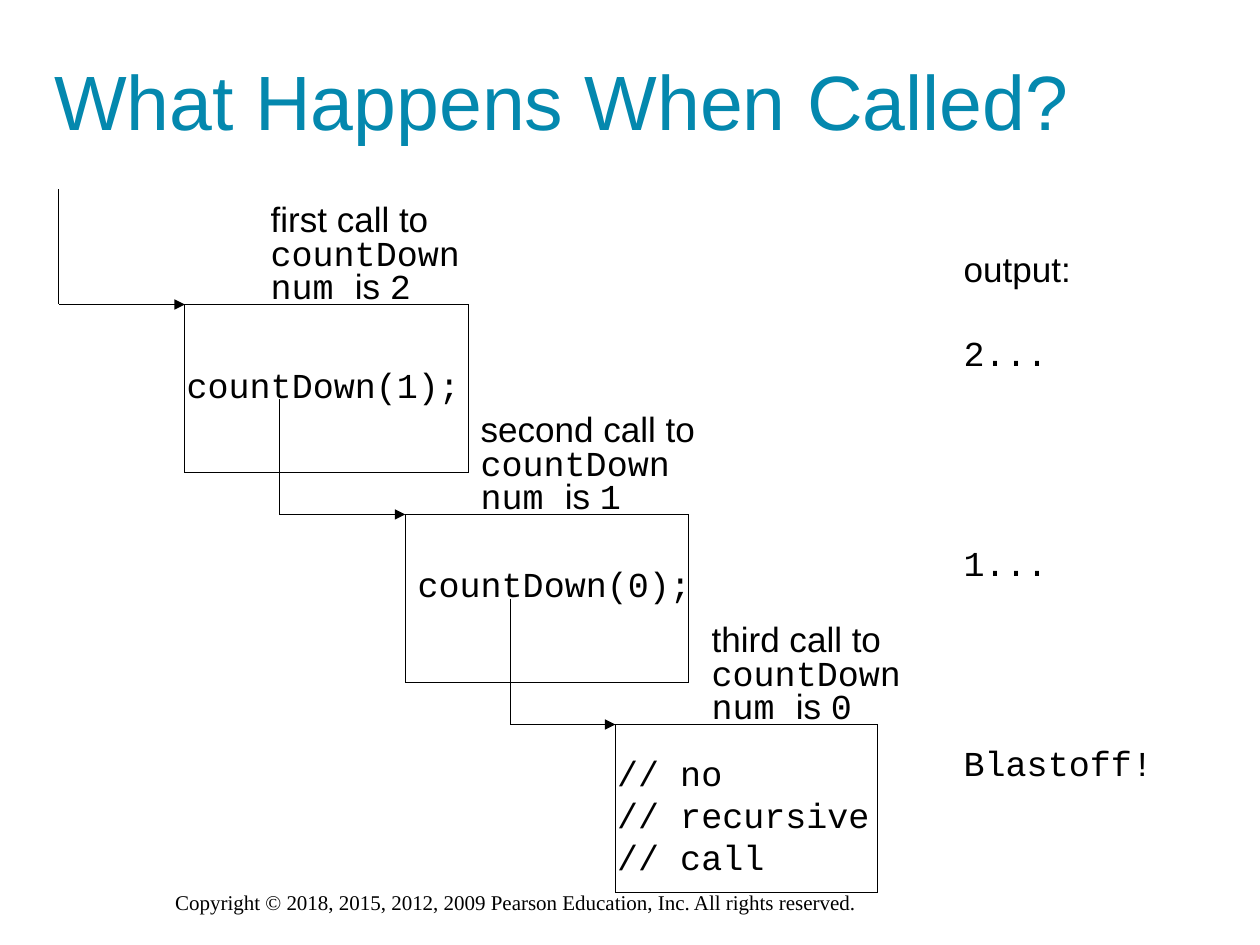
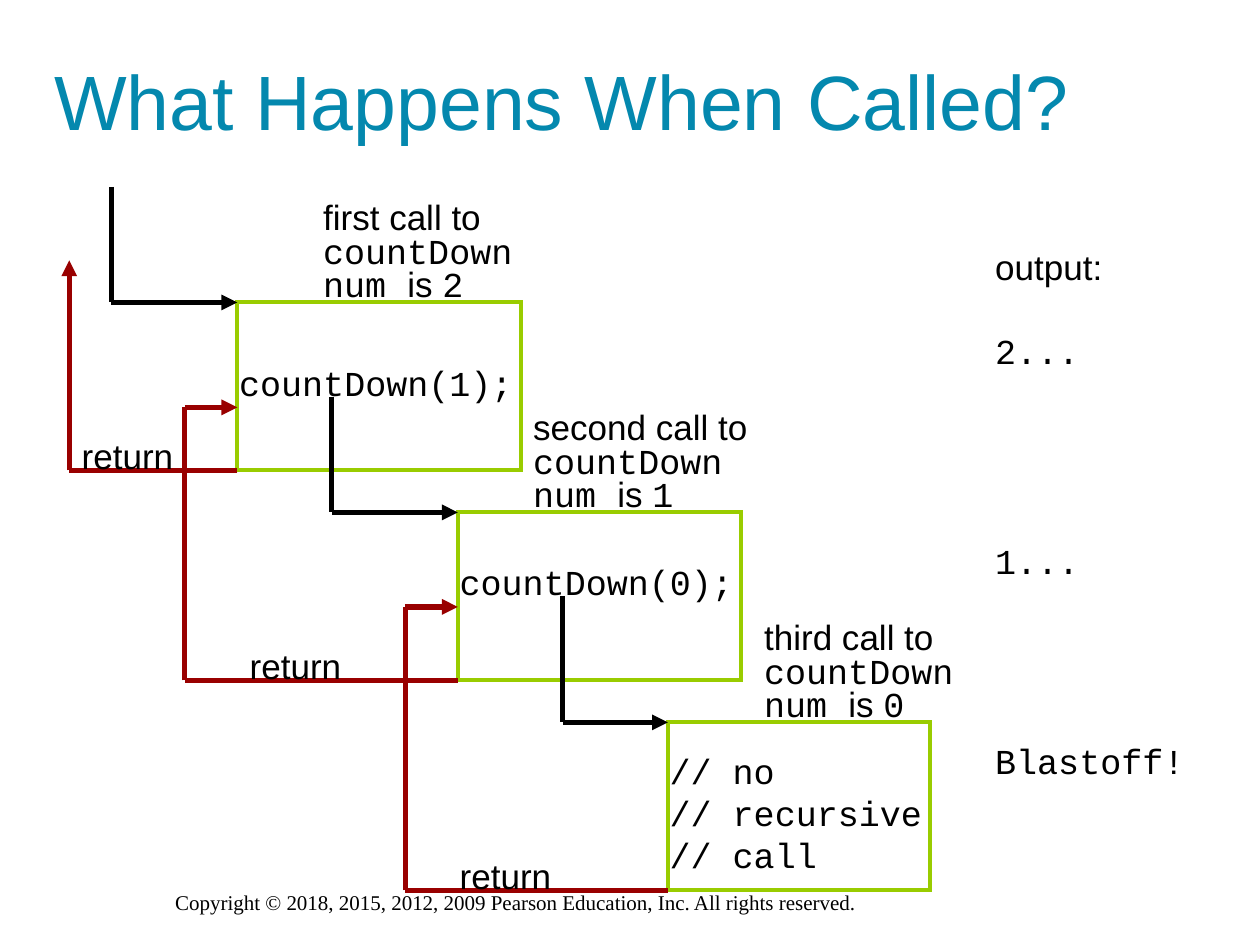
from itertools import pairwise

from lxml.etree import SubElement
from pptx import Presentation
from pptx.dml.color import RGBColor
from pptx.enum.shapes import MSO_CONNECTOR, MSO_SHAPE
from pptx.enum.text import MSO_ANCHOR, MSO_AUTO_SIZE
from pptx.oxml.ns import qn
from pptx.util import Inches, Pt

UNIT = Inches(1) / 12  # the slide is 120 columns by 90 rows
SANS, MONO, SERIF = "Arial", "Courier New", "Times New Roman"
BLACK, TEAL, LIME, RED = "000000", "0488AE", "99CC00", "990000"
GAP = {"space_before": Pt(24)}
TIGHT = {"line_spacing": 0.8}
FLOAT = {"word_wrap": False, "auto_size": MSO_AUTO_SIZE.SHAPE_TO_FIT_TEXT}
FIXED = {"word_wrap": True, "vertical_anchor": MSO_ANCHOR.MIDDLE}

# Columns and rows count from the start of the first call arrow.
FRAMES = [(12, 11, 27), (33, 31, 27), (53, 51, 25)]
LABELS = [("first", "2", 19, 1, 20.4), ("second", "1", 39, 21, 22.8),
          ("third", "0", 61, 41, 22.4)]
CALLS = [[(0, 0), (0, 11), (12, 11)],
         [(21, 20), (21, 31), (33, 31)],
         [(43, 39), (43, 51), (53, 51)]]
RETURNS = [[(53, 67), (28, 67), (28, 40), (33, 40)],
           [(33, 47), (7, 47), (7, 21), (12, 21)],
           [(12, 27), (-4, 27), (-4, 7)]]
NOTES = [(32, 63), (12, 43), (-4, 23)]


def paint(code):
    return RGBColor.from_string(code)


def apply(target, values):
    for name, value in values.items():
        setattr(target, name, value)


class Page:
    """Holds the slide being drawn, its grid origin and its line style."""

    def __init__(self, deck, origin, edge, frame, thick):
        self.shapes = deck.slides.add_slide(deck.slide_layouts[6]).shapes
        self.origin = (0, 0)
        self.edge, self.frame, self.thick = edge, frame, thick
        self.text(4, 2, 102, 15, [[("What Happens When Called?", SANS)]],
                  size=44, color=TEAL, body=FIXED)
        self.text(15.5, 84.1, 89, 3.6, [[(
            "Copyright © 2018, 2015, 2012, 2009 Pearson Education, Inc. "
            "All rights reserved.", SERIF)]], size=12, body=FIXED)
        self.origin = origin

    def spot(self, col, row):
        return [round((a + b) * UNIT) for a, b in zip(self.origin, (col, row))]

    def text(self, col, row, wide, high, lines, size=20, color=BLACK,
             body=FLOAT, para={}, later={}):
        """Each line is a list of (words, font); later formats all but the first."""
        box = self.shapes.add_textbox(
            *self.spot(col, row), round(wide * UNIT), round(high * UNIT))
        frame = box.text_frame
        apply(frame, body)
        for index, line in enumerate(lines):
            part = frame.add_paragraph() if index else frame.paragraphs[0]
            apply(part, {**para, **(later if index else {})})
            for words, font in line:
                run = part.add_run()
                run.text = words
                apply(run.font, {"name": font, "size": Pt(size)})
                run.font.color.rgb = paint(color)

    def box(self, col, row, wide):
        shape = self.shapes.add_shape(
            MSO_SHAPE.RECTANGLE, *self.spot(col, row),
            round(wide * UNIT), round(16 * UNIT))
        shape.shadow.inherit = False
        shape.fill.background()
        shape.line.color.rgb = paint(self.frame)
        shape.line.width = Pt(self.edge)
        SubElement(shape.line._get_or_add_ln(), qn("a:miter"), lim="800000")

    def route(self, points, color):
        """Joins the points with straight lines and puts an arrowhead on the last."""
        for start, end in pairwise(points):
            link = self.shapes.add_connector(
                MSO_CONNECTOR.STRAIGHT, *self.spot(*start), *self.spot(*end))
            link.line.color.rgb = paint(color)
            link.line.width = Pt(self.thick)
            SubElement(link._element.spPr, qn("a:effectLst"))
        SubElement(link.line._get_or_add_ln(), qn("a:tailEnd"), type="triangle")

    def calls(self, inner, output):
        """Draws the three calls; inner and output are the columns that vary."""
        for frame in FRAMES:
            self.box(*frame)
        for order, num, col, row, wide in LABELS:
            self.text(col, row, wide, 10.8, [
                [(f"{order} call to", SANS)],
                [("countDown", MONO)],
                [("num ", MONO), ("is ", SANS), (num, MONO)]], para=TIGHT)
        for num, col, row in ((1, 11, 16), (0, inner, 35)):
            self.text(col, row, 29, 5.2, [[(f"countDown({num});", MONO)]])
        self.text(52, 53, 27, 13.2, [
            [(f"// {word}", MONO)] for word in ("no", "recursive", "call")])
        self.text(output, 5, 12.8, 13.2,
                  [[("output:", SANS)], [("2...", MONO)]], later=GAP)
        self.text(output, 32.95, 10.6, 5.2, [[("1...", MONO)]])
        self.text(output, 52.05, 20.8, 5.2, [[("Blastoff!", MONO)]])
        for points in CALLS:
            self.route(points, BLACK)

    def returns(self):
        for points, place in zip(RETURNS, NOTES):
            self.route(points, RED)
            self.text(*place, 11.6, 5.2, [[("return", SANS)]])


def main():
    deck = Presentation()
    apply(deck, {"slide_width": Inches(10), "slide_height": Inches(7.5)})
    Page(deck, (5.6, 18), 0.75, BLACK, 0.75).calls(33, 85)
    page = Page(deck, (10.6, 17.8), 2.25, LIME, 3)
    page.calls(32, 83)
    page.returns()
    deck.save("out.pptx")


if __name__ == "__main__":
    main()
